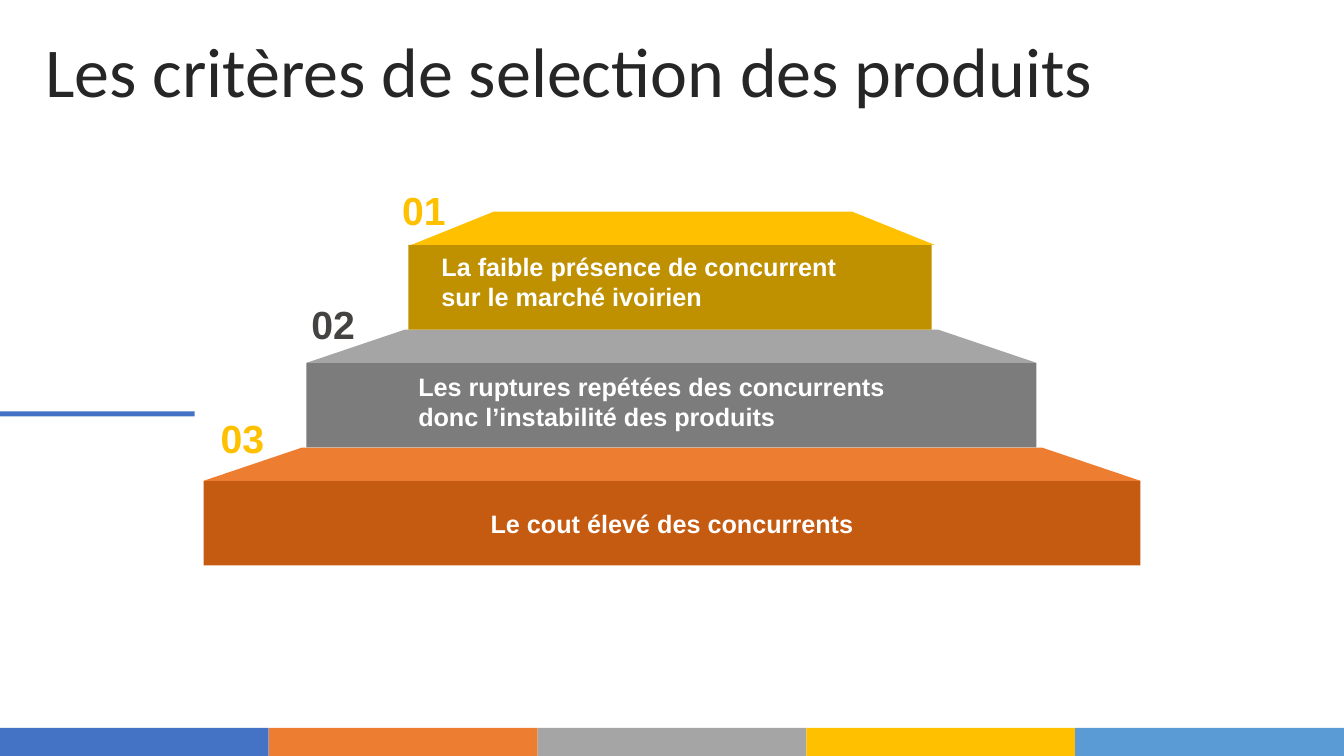
from dataclasses import dataclass
from typing import Any, Optional

from pptx import Presentation
from pptx.dml.color import RGBColor
from pptx.enum.shapes import MSO_SHAPE
from pptx.enum.text import MSO_ANCHOR, PP_ALIGN
from pptx.util import Inches, Pt

RECT, TRAPEZOID = MSO_SHAPE.RECTANGLE, MSO_SHAPE.TRAPEZOID
TOP, MIDDLE = MSO_ANCHOR.TOP, MSO_ANCHOR.MIDDLE
LEFT, CENTER = PP_ALIGN.LEFT, PP_ALIGN.CENTER


@dataclass(frozen=True)
class Theme:
    blue: str = "4472C4"
    orange: str = "ED7D31"
    dark_orange: str = "C55A11"
    grey: str = "A5A5A5"
    dark_grey: str = "7C7C7C"
    gold: str = "FFC000"
    dark_gold: str = "BF9000"
    sky: str = "5B9BD5"
    title: str = "262626"
    charcoal: str = "444342"
    white: str = "FFFFFF"
    title_font: str = "Calibri"
    body_font: str = "Arial"
    title_size: int = 50
    number_size: int = 28
    caption_size: int = 18


@dataclass(frozen=True)
class Box:
    left: float
    top: float
    width: float
    height: float

    def lengths(self) -> list[int]:
        return [Inches(v) for v in (self.left, self.top, self.width, self.height)]


@dataclass(frozen=True)
class Step:
    caption: str
    left: float
    face_left: float
    width: float
    slant: float
    front: str
    face: str
    number_color: str
    caption_box: Optional[Box] = None


THEME = Theme()
SLIDE_W, SLIDE_H = 13.33, 7.5
BAND_H = 0.28
STEPS_TOP, FACE_H, FRONT_H = 2.1, 0.33, 0.84
NUMBER_LEFT, NUMBER_TOP, NUMBER_DX, NUMBER_DY = 3.84, 1.8, -0.9, 1.13

BAND = (THEME.blue, THEME.orange, THEME.grey, THEME.gold, THEME.sky)
STEPS = (
    Step("La faible présence de concurrent sur le marché ivoirien",
         4.05, 4.08, 5.19, 2.48, THEME.dark_gold, THEME.gold, THEME.gold,
         Box(4.28, 2.44, 4.3, 0.71)),
    Step("Les ruptures repétées des concurrents donc l’instabilité des produits",
         3.04, 3.04, 7.24, 2.96, THEME.dark_grey, THEME.grey, THEME.charcoal,
         Box(4.05, 3.63, 5.22, 0.71)),
    Step("Le cout élevé des concurrents",
         2.02, 2.02, 9.29, 2.96, THEME.dark_orange, THEME.orange, THEME.gold),
)
CAPTION = {"name": THEME.body_font, "size": Pt(THEME.caption_size), "bold": True}
NUMBER = {"name": THEME.body_font, "size": Pt(THEME.number_size), "bold": True}
TITLE = {"name": THEME.title_font, "size": Pt(THEME.title_size)}


def add_block(s: Any, kind: Any, box: Box, color: str) -> Any:
    sp = s.shapes.add_shape(kind, *box.lengths())
    sp.shadow.inherit = False
    sp.fill.solid()
    sp.fill.fore_color.rgb = RGBColor.from_string(color)
    sp.line.fill.background()
    return sp


def write(sp: Any, text: str, font: dict[str, Any], color: str,
          align: Any = LEFT, anchor: Any = TOP) -> Any:
    """Fill a shape with one paragraph and return that paragraph."""
    tf = sp.text_frame
    tf.word_wrap = True
    tf.vertical_anchor = anchor
    p = tf.paragraphs[0]
    p.alignment = align
    r = p.add_run()
    r.text = text
    for name, value in font.items():
        setattr(r.font, name, value)
    r.font.color.rgb = RGBColor.from_string(color)
    return p


def add_band(s: Any) -> None:
    width = SLIDE_W / len(BAND)
    for i, color in enumerate(BAND):
        add_block(s, RECT, Box(i * width, SLIDE_H - BAND_H, width, BAND_H), color)


def add_title(s: Any) -> None:
    sp = s.shapes.add_textbox(*Box(0.35, 0.37, 12.66, 0.79).lengths())
    p = write(sp, "Les critères de selection des produits", TITLE, THEME.title,
              anchor=MIDDLE)
    p.line_spacing = 0.8


def add_step(s: Any, i: int, step: Step) -> None:
    top = STEPS_TOP + i * (FACE_H + FRONT_H)
    front = add_block(s, RECT, Box(step.left, top + FACE_H, step.width, FRONT_H),
                      step.front)
    face = add_block(s, TRAPEZOID, Box(step.face_left, top, step.width, FACE_H),
                     step.face)
    face.adjustments[0] = step.slant
    if step.caption_box:
        sp = s.shapes.add_textbox(*step.caption_box.lengths())
        write(sp, step.caption, CAPTION, THEME.white)
    else:
        write(front, step.caption, CAPTION, THEME.white, CENTER, MIDDLE)


def add_number(s: Any, i: int, step: Step) -> None:
    box = Box(NUMBER_LEFT + i * NUMBER_DX, NUMBER_TOP + i * NUMBER_DY, 0.73, 0.57)
    sp = s.shapes.add_textbox(*box.lengths())
    sp.text_frame.margin_left = sp.text_frame.margin_right = Inches(0.12)
    write(sp, f"{i + 1:02}", NUMBER, step.number_color, CENTER)


def main() -> None:
    prs = Presentation()
    prs.slide_width, prs.slide_height = Inches(SLIDE_W), Inches(SLIDE_H)
    s = prs.slides.add_slide(prs.slide_layouts[6])
    add_band(s)
    add_block(s, RECT, Box(0, 4.08, 1.93, 0.05), THEME.blue)
    add_title(s)
    for i, step in reversed(list(enumerate(STEPS))):
        add_step(s, i, step)
        add_number(s, i, step)
    prs.save("out.pptx")


if __name__ == "__main__":
    main()
